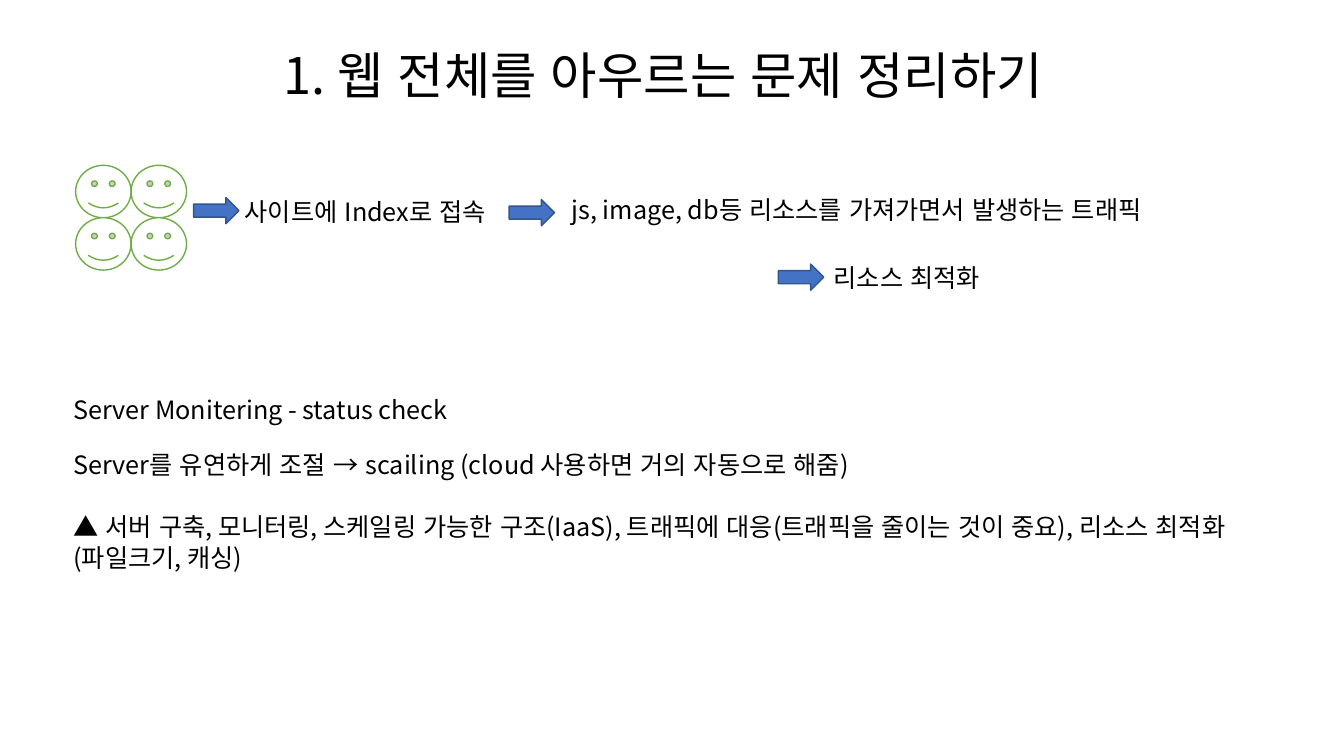
from pptx import Presentation
from pptx.dml.color import RGBColor
from pptx.enum.lang import MSO_LANGUAGE_ID as LANG
from pptx.enum.shapes import MSO_SHAPE as SHAPE
from pptx.enum.text import MSO_ANCHOR as ANCHOR, MSO_AUTO_SIZE as FIT, PP_ALIGN as ALIGN
from pptx.oxml.ns import qn
from pptx.util import Inches, Pt

FONT = "Noto Sans CJK KR"
COLORS = {
    "text": "000000",
    "face": "FFFFFF",
    "face_line": "70AD47",
    "arrow": "4472C4",
    "arrow_line": "325491",
}


def rgb(name):
    return RGBColor.from_string(COLORS[name])


def add_text(s, text, x, y, w, h=0.4, size=18, wrap=False, anchor=ANCHOR.TOP, fit=FIT.SHAPE_TO_FIT_TEXT):
    tf = s.shapes.add_textbox(Inches(x), Inches(y), Inches(w), Inches(h)).text_frame
    tf.word_wrap = wrap
    tf.auto_size = fit
    tf.vertical_anchor = anchor
    p = tf.paragraphs[0]
    r = p.add_run()
    r.text = text
    r.font.size = Pt(size)
    r.font.name = FONT
    r.font.language_id = LANG.KOREAN
    r.font.color.rgb = rgb("text")
    ea = r.font._element.makeelement(qn("a:ea"), {"typeface": FONT})
    r.font._element.find(qn("a:latin")).addnext(ea)
    return p


def add_title(s, text):
    p = add_text(s, text, 1.58, 0.33, 10, 0.89, size=36, wrap=True, anchor=ANCHOR.MIDDLE, fit=FIT.NONE)
    p.alignment = ALIGN.CENTER
    p.line_spacing = 0.9


def add_figure(s, kind, x, y, w, h, color):
    sp = s.shapes.add_shape(kind, Inches(x), Inches(y), Inches(w), Inches(h))
    sp.shadow.inherit = False
    sp.fill.solid()
    sp.fill.fore_color.rgb = rgb(color)
    sp.line.color.rgb = rgb(f"{color}_line")
    sp.line.width = Pt(1)


def add_users(s, x, y, w=0.55, h=0.52):
    for row in range(2):
        for col in range(2):
            add_figure(s, SHAPE.SMILEY_FACE, x + col * w, y + row * h, w, h, "face")


def add_arrow(s, x, y):
    add_figure(s, SHAPE.RIGHT_ARROW, x, y, 0.45, 0.26, "arrow")


def main():
    prs = Presentation()
    prs.slide_width = Inches(13.33)
    prs.slide_height = Inches(7.5)
    s = prs.slides.add_slide(prs.slide_layouts[6])

    add_title(s, "1. 웹 전체를 아우르는 문제 정리하기")
    add_users(s, 0.75, 1.64)
    for x, y in ((1.92, 1.96), (5.05, 1.98), (7.72, 2.62)):
        add_arrow(s, x, y)

    add_text(s, "사이트에 Index로 접속", 2.33, 1.9, 2.77, wrap=True)
    add_text(s, "js, image, db등 리소스를 가져가면서 발생하는 트래픽", 5.57, 1.88, 6.32)
    add_text(s, "리소스 최적화", 8.17, 2.55, 1.9)

    add_text(s, "Server Monitering - status check", 0.63, 3.86, 3.96)
    add_text(s, "Server를 유연하게 조절 → scailing (cloud 사용하면 거의 자동으로 해줌)", 0.63, 4.41, 8.39)
    add_text(
        s,
        "▲ 서버 구축, 모니터링, 스케일링 가능한 구조(IaaS), 트래픽에 대응"
        "(트래픽을 줄이는 것이 중요), 리소스 최적화(파일크기, 캐싱)",
        0.63, 5.02, 12.25, 0.71, wrap=True, anchor=ANCHOR.MIDDLE,
    )

    prs.save("out.pptx")


if __name__ == "__main__":
    main()
